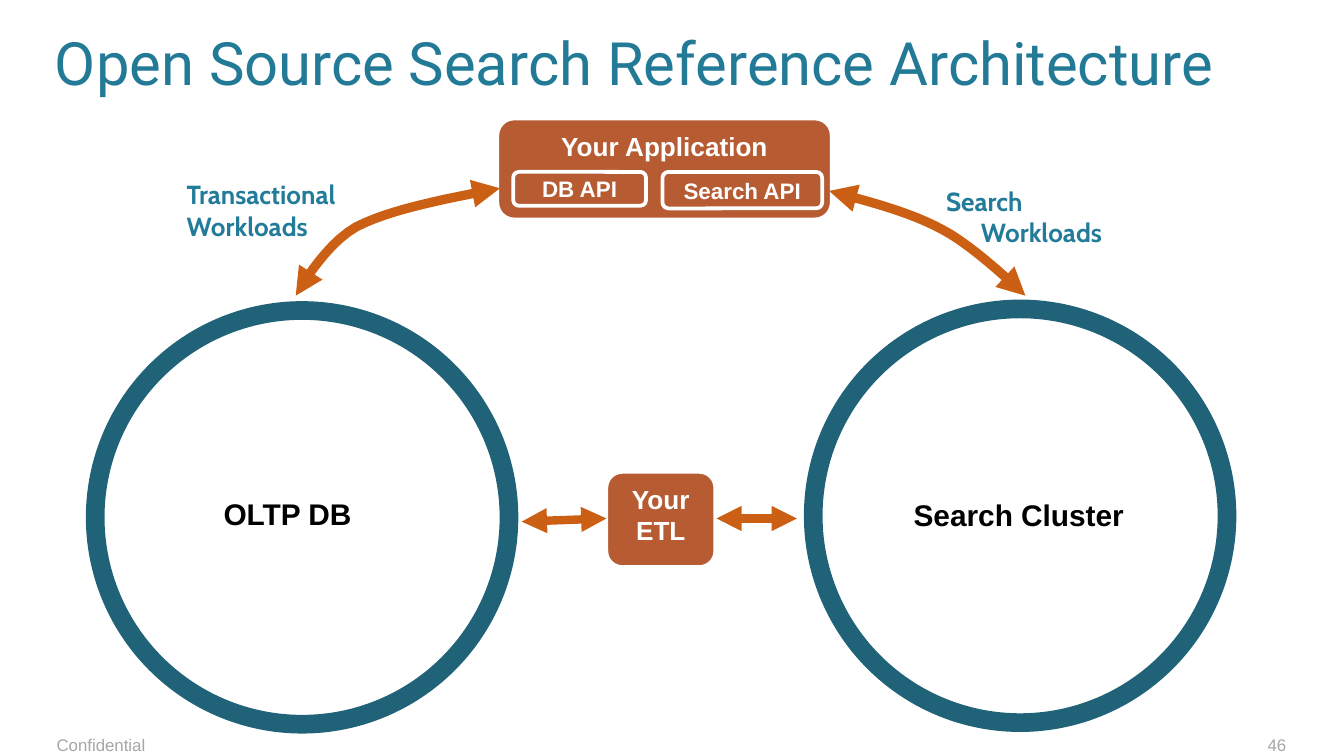
import pptx
import pptx.util
import pptx.dml.color
import pptx.enum.shapes
import pptx.enum.text
import pptx.oxml.ns
from lxml import etree

Cm, Pt = pptx.util.Cm, pptx.util.Pt
RGB = pptx.dml.color.RGBColor
SHAPE = pptx.enum.shapes.MSO_SHAPE
ALIGN = pptx.enum.text.PP_ALIGN
ANCHOR = pptx.enum.text.MSO_ANCHOR
qn = pptx.oxml.ns.qn

TITLE_BLUE = RGB(0x23, 0x7A, 0x97)
LABEL_BLUE = RGB(0x21, 0x7B, 0x99)
RING_BLUE = RGB(0x20, 0x63, 0x78)
RUST = RGB(0xB6, 0x5B, 0x32)
ORANGE = RGB(0xCB, 0x60, 0x15)
WHITE = RGB(0xFF, 0xFF, 0xFF)
BLACK = RGB(0, 0, 0)
GREY = RGB(0xA6, 0xA6, 0xA6)


def write(s, lines, size, color, font="Arial", bold=False, align=ALIGN.LEFT,
          anchor=ANCHOR.TOP, insets=None):
    """Fill a shape with one paragraph per line; insets are (side, top) in cm."""
    tf = s.text_frame
    frame = {"word_wrap": True, "vertical_anchor": anchor}
    if insets:
        side, top = map(Cm, insets)
        frame.update(margin_left=side, margin_right=side, margin_top=top, margin_bottom=top)
    for name, value in frame.items():
        setattr(tf, name, value)
    for i, line in enumerate(lines):
        p = tf.add_paragraph() if i else tf.paragraphs[0]
        p.alignment = align
        r = p.add_run()
        r.text = line
        for name, value in {"name": font, "size": Pt(size), "bold": bold}.items():
            setattr(r.font, name, value)
        r.font.color.rgb = color
    return tf


def textbox(slide, box, lines, size, color, **fmt):
    return write(slide.shapes.add_textbox(*map(Cm, box)), lines, size, color, **fmt)


def rust_box(slide, box, lines, size, anchor=ANCHOR.TOP):
    s = slide.shapes.add_shape(SHAPE.ROUNDED_RECTANGLE, *map(Cm, box))
    s.shadow.inherit = False
    s.fill.solid()
    s.fill.fore_color.rgb = RUST
    s.line.color.rgb = WHITE
    s.line.width = Pt(2)
    write(s, lines, size, WHITE, bold=True, align=ALIGN.CENTER, anchor=anchor)


def double_arrow(s, width):
    s.line.color.rgb = ORANGE
    s.line.width = Pt(width)
    ln = s.line._get_or_add_ln()
    for end in ("a:headEnd", "a:tailEnd"):
        etree.SubElement(ln, qn(end)).set("type", "triangle")


def straight_arrow(slide, x1, y1, x2, y2):
    kind = pptx.enum.shapes.MSO_CONNECTOR.STRAIGHT
    s = slide.shapes.add_connector(kind, Cm(x1), Cm(y1), Cm(x2), Cm(y2))
    double_arrow(s, 4.5)
    etree.SubElement(s._element.spPr, qn("a:effectLst"))


def bezier(a, b, c, d, t):
    u = 1 - t
    return tuple(u**3 * i + 3 * u * u * t * j + 3 * u * t * t * k + t**3 * m
                 for i, j, k, m in zip(a, b, c, d))


def curved_arrow(slide, left, top, knots, steps=12):
    """Chain of cubic curves; knots are relative to left, top."""
    points = [knots[0]]
    for i in range(0, len(knots) - 1, 3):
        points += [bezier(*knots[i:i + 4], n / steps) for n in range(1, steps + 1)]
    points = [(Cm(left + x), Cm(top + y)) for x, y in points]
    fb = slide.shapes.build_freeform(*points[0])
    fb.add_line_segments(points[1:], close=False)
    s = fb.convert_to_shape()
    s.shadow.inherit = False
    s.fill.background()
    double_arrow(s, 5)


def data_store(slide, left, top, label, dx, dy):
    size = 7.82
    textbox(slide, (left + dx, top + dy, 4.27, 1.02), [label], 16, BLACK,
            bold=True, align=ALIGN.CENTER, insets=(0, 0.1))
    s = slide.shapes.add_shape(SHAPE.OVAL, Cm(left), Cm(top), Cm(size), Cm(size))
    s.shadow.inherit = False
    s.fill.background()
    s.line.color.rgb = RING_BLUE
    s.line.width = Pt(10)


def application(slide, left, top):
    rust_box(slide, (left, top, 6.32, 1.91), ["Your Application"], 14)
    for label, dx, width, height in (("DB API", 0.3, 2.51, 0.64),
                                     ("Search API", 3.12, 3.02, 0.69)):
        rust_box(slide, (left + dx, top + 1.01, width, height), [label], 12, ANCHOR.MIDDLE)


def etl(slide, left, top):
    rust_box(slide, (left, top, 2.06, 1.8), ["Your", "ETL"], 14)
    straight_arrow(slide, left + 2.08, top + 0.88, left + 3.6, top + 0.88)
    straight_arrow(slide, left - 1.6, top + 0.94, left, top + 0.88)


def workload(slide, left, top, kind, indent=0):
    tf = textbox(slide, (left, top, 3.8, 1.45), [kind, "Workloads"], 14, LABEL_BLUE,
                 font="Cabin", bold=True)
    if indent:
        tf.paragraphs[1]._p.get_or_add_pPr().set("marL", str(Cm(indent)))


def footer(slide, left, top, width):
    for text, align in (("Confidential", ALIGN.LEFT), ("46", ALIGN.RIGHT)):
        textbox(slide, (left, top, width, 0.76), [text], 9, GREY, align=align, insets=(0, 0))


def main():
    prs = pptx.Presentation()
    prs.slide_width, prs.slide_height = Cm(25.4), Cm(14.29)
    slide = prs.slides.add_slide(prs.slide_layouts[6])

    footer(slide, 1.07, 13.89, 23.24)

    # Data stores
    data_store(slide, 1.8, 5.87, "OLTP DB", 1.5, 3.4)
    data_store(slide, 15.37, 5.84, "Search Cluster", 1.75, 3.45)

    # Application and its links to the stores
    application(slide, 9.4, 2.24)
    curved_arrow(slide, 15.67, 3.61, [(0, 0), (0.76, 0.2), (1.53, 0.4), (2.14, 0.73),
                                      (2.77, 1.06), (3.71, 1.98), (3.71, 1.98)])
    curved_arrow(slide, 5.59, 3.56, [(3.86, 0), (2.82, 0.2), (1.78, 0.4), (1.14, 0.73),
                                     (0.51, 1.09), (0, 2.03), (0, 2.03)])
    etl(slide, 11.46, 8.92)
    workload(slide, 3.28, 3.25, "Transactional")
    workload(slide, 17.63, 3.38, "Search", indent=0.66)

    # Title
    textbox(slide, (1.04, 0.48, 22.86, 1.9), ["Open Source Search Reference Architecture"],
            32, TITLE_BLUE, font="Roboto", insets=(0, 0))
    prs.save("out.pptx")


if __name__ == "__main__":
    main()
